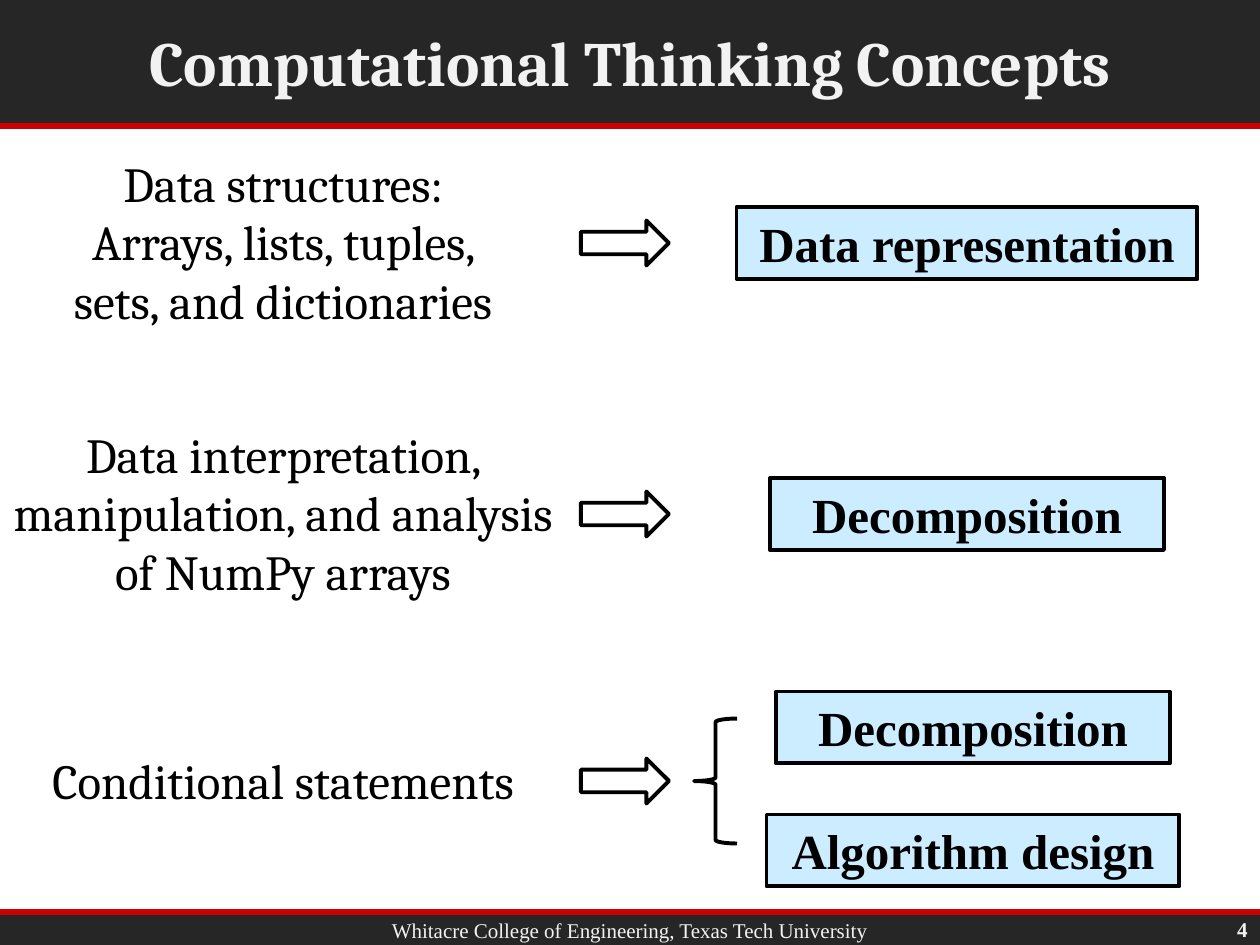
from lxml import etree
from pptx import Presentation
from pptx import util as u
from pptx.dml.color import RGBColor
from pptx.enum import shapes, text
from pptx.oxml.ns import qn

WIDTH, HEIGHT = 1260, 945
CHARCOAL = RGBColor(0x26, 0x26, 0x26)
RED = RGBColor(0xCC, 0x00, 0x00)
PALE = RGBColor(0xF2, 0xF2, 0xF2)
BLACK = RGBColor(0x00, 0x00, 0x00)
SKY = RGBColor(0xCC, 0xEC, 0xFF)
SERIF, HEADING = "Times New Roman", "Cambria"
CENTER, RIGHT = text.PP_ALIGN.CENTER, text.PP_ALIGN.RIGHT
TOP, MIDDLE = text.MSO_ANCHOR.TOP, text.MSO_ANCHOR.MIDDLE

STATEMENT_CENTER = 283
ARROW_LEFT, ARROW_WIDTH, ARROW_HEIGHT = 581, 88, 45
BRACE_LEFT, BRACE_WIDTH, BRACE_HEIGHT = 694, 43, 125
CONCEPT_HEIGHT, CONCEPT_PITCH = 72, 123
ROW_HEIGHT = 190

ROWS = [
    (148, "Data structures: Arrays, lists, tuples, sets, and dictionaries",
     (481, 190), 967, [("Data representation", 461)]),
    (419, "Data interpretation, manipulation, and analysis of NumPy arrays",
     (567, 190), 967, [("Decomposition", 394)]),
    (686, "Conditional statements",
     (541, 72), 973, [("Decomposition", 394), ("Algorithm design", 413)]),
]


def px(*lengths):
    return [u.Emu(round(length * 914400 / 126)) for length in lengths]


def write(frame, words, font=SERIF, size=28, color=BLACK, bold=False,
          align=CENTER, anchor=TOP):
    frame.word_wrap = True
    frame.vertical_anchor = anchor
    paragraph = frame.paragraphs[0]
    paragraph.alignment = align
    run = paragraph.add_run()
    run.text = words
    run.font.name = font
    run.font.size = u.Pt(size)
    run.font.bold = bold
    run.font.color.rgb = color


def add_label(slide, box, words, **style):
    write(slide.shapes.add_textbox(*px(*box)).text_frame, words, **style)


def add_figure(slide, preset, box, fill=None, outline=BLACK):
    figure = slide.shapes.add_shape(preset, *px(*box))
    figure.shadow.inherit = False
    if fill is None:
        figure.fill.background()
    else:
        figure.fill.solid()
        figure.fill.fore_color.rgb = fill
    if outline is None:
        figure.line.fill.background()
    else:
        figure.line.color.rgb = outline
        figure.line.width = u.Pt(2.25)
    return figure


def add_band(slide, box, rule_y):
    left, top, width, height = box
    add_figure(slide, shapes.MSO_SHAPE.RECTANGLE, box, CHARCOAL, None)
    rule = slide.shapes.add_connector(
        shapes.MSO_CONNECTOR.STRAIGHT,
        *px(left, top + rule_y, left + width, top + rule_y))
    rule.line.color.rgb = RED
    rule.line.width = u.Pt(3)
    etree.SubElement(rule._element.spPr, qn("a:effectLst"))


def add_header(slide, box):
    left, top, width, height = box
    add_band(slide, box, height)
    add_label(slide, (left + 127, top + 5, width - 254, 112),
              "Computational Thinking Concepts", font=HEADING, size=36,
              color=PALE, bold=True, anchor=MIDDLE)


def add_footer(slide, box):
    left, top, width, height = box
    add_band(slide, box, 0)
    add_label(slide, (left + 127, top - 1, width - 254, 38),
              "Whitacre College of Engineering, Texas Tech University",
              size=12, color=PALE, anchor=MIDDLE)
    add_label(slide, (left + width - 91, top + 1, 91, height), "4", size=12,
              color=PALE, bold=True, align=RIGHT, anchor=MIDDLE)


def add_row(slide, box, statement, statement_size, concept_center, concepts):
    left, top, width, height = box
    middle = top + height / 2
    statement_width, statement_height = statement_size
    add_label(slide, (left + STATEMENT_CENTER - statement_width / 2,
                      middle - 1 - statement_height / 2,
                      statement_width, statement_height),
              statement, font=HEADING)
    add_figure(slide, shapes.MSO_SHAPE.RIGHT_ARROW,
               (left + ARROW_LEFT, middle - ARROW_HEIGHT / 2,
                ARROW_WIDTH, ARROW_HEIGHT))
    if len(concepts) > 1:
        brace = add_figure(slide, shapes.MSO_SHAPE.RIGHT_BRACE,
                           (left + BRACE_LEFT, middle - BRACE_HEIGHT / 2,
                            BRACE_WIDTH, BRACE_HEIGHT))
        brace.rotation = 180
    stack_height = CONCEPT_HEIGHT + CONCEPT_PITCH * (len(concepts) - 1)
    stack_top = middle - stack_height / 2
    if len(concepts) > 1:
        stack_top += 8
    for index, (concept, concept_width) in enumerate(concepts):
        tag = add_figure(slide, shapes.MSO_SHAPE.RECTANGLE,
                         (left + concept_center - concept_width / 2,
                          stack_top + index * CONCEPT_PITCH,
                          concept_width, CONCEPT_HEIGHT), SKY)
        write(tag.text_frame, concept, bold=True)


def main():
    deck = Presentation()
    deck.slide_width, deck.slide_height = px(WIDTH, HEIGHT)
    slide = deck.slides.add_slide(deck.slide_layouts[6])
    add_footer(slide, (0, 912, WIDTH, 33))
    add_header(slide, (0, 0, WIDTH, 126))
    for top, *content in ROWS:
        add_row(slide, (0, top, WIDTH, ROW_HEIGHT), *content)
    deck.save("out.pptx")


if __name__ == "__main__":
    main()
